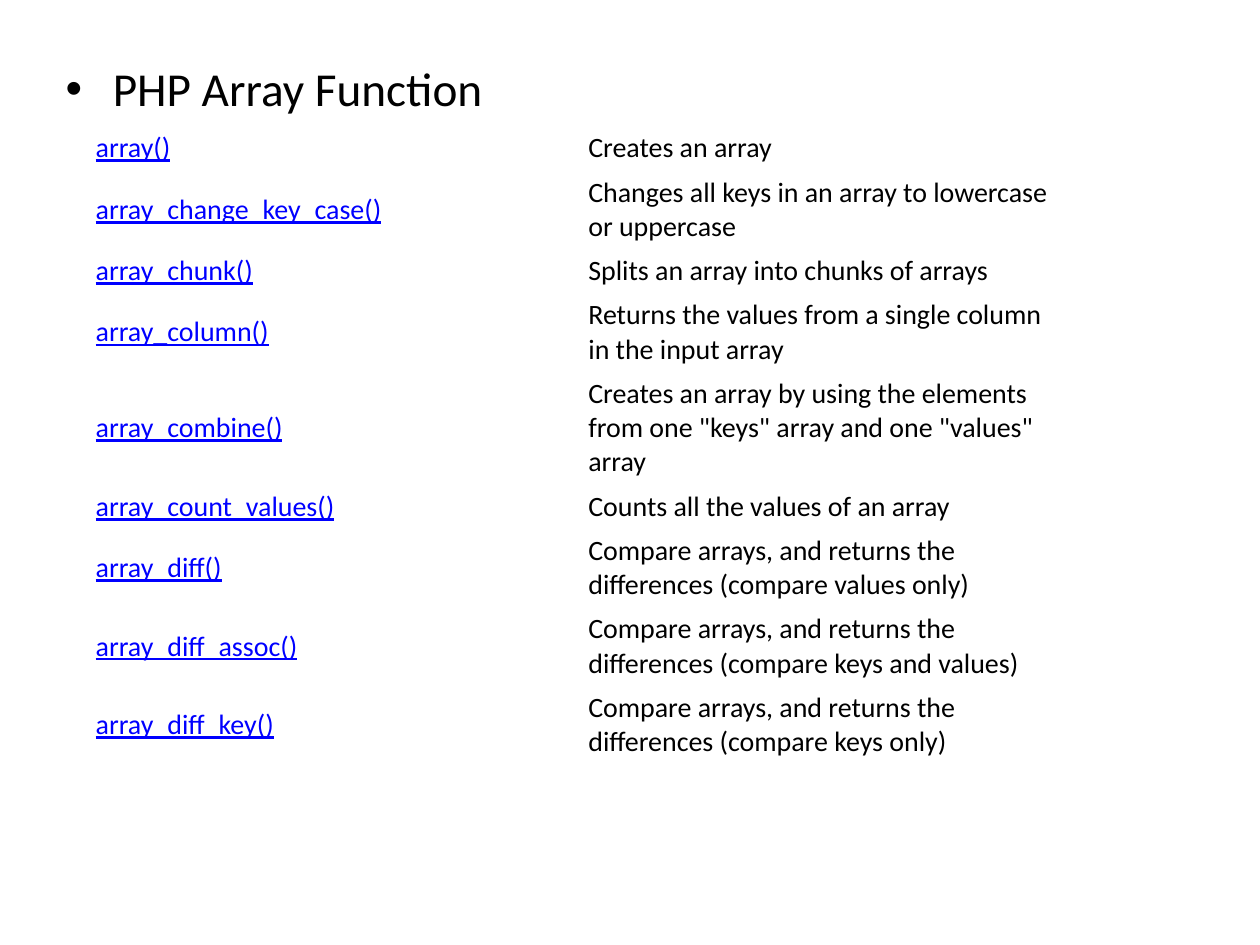
from pptx import Presentation
from pptx.dml.color import RGBColor
from pptx.enum.text import MSO_ANCHOR as Anchor, MSO_AUTO_SIZE as AutoSize
from pptx.util import Inches, Pt

HEADING = {"name": "Calibri", "size": Pt(27), "color": "000000"}
FUNCTION = {"name": "Calibri", "size": Pt(16), "color": "0000FF", "underline": True}
DESCRIPTION = {"name": "Calibri", "size": Pt(16), "color": "000000", "underline": False}
CELL = {
    "vertical_anchor": Anchor.MIDDLE,
    "margin_left": Inches(0.09),
    "margin_right": Inches(0.09),
    "margin_top": Inches(0.04),
    "margin_bottom": Inches(0.04),
}
ROW_PADDING, LINE_HEIGHT = 0.09, 0.26

ARRAY_FUNCTIONS = [
    ("array()", "Creates an array", 1),
    ("array_change_key_case()", "Changes all keys in an array to lowercase or uppercase", 2),
    ("array_chunk()", "Splits an array into chunks of arrays", 1),
    ("array_column()", "Returns the values from a single column in the input array", 2),
    ("array_combine()",
     'Creates an array by using the elements from one "keys" array and one "values" array', 3),
    ("array_count_values()", "Counts all the values of an array", 1),
    ("array_diff()", "Compare arrays, and returns the differences (compare values only)", 2),
    ("array_diff_assoc()",
     "Compare arrays, and returns the differences (compare keys and values)", 2),
    ("array_diff_key()", "Compare arrays, and returns the differences (compare keys only)", 2),
]


def apply(target, values):
    for key, value in values.items():
        setattr(target, key, value)


def set_color(color, hex_value):
    color.rgb = RGBColor.from_string(hex_value)


def write(paragraph, text, style):
    run = paragraph.add_run()
    run.text = text
    apply(run.font, {key: value for key, value in style.items() if key != "color"})
    set_color(run.font.color, style["color"])


def place_heading(slide, left, top, width, height):
    heading = slide.placeholders[1]
    apply(heading, {"left": Inches(left), "top": Inches(top),
                    "width": Inches(width), "height": Inches(height)})
    heading.text_frame.auto_size = AutoSize.NONE
    write(heading.text_frame.paragraphs[0], "PHP Array Function", HEADING)


def place_functions(slide, left, top, width):
    heights = [ROW_PADDING + LINE_HEIGHT * lines for _, _, lines in ARRAY_FUNCTIONS]
    functions = slide.shapes.add_table(
        len(ARRAY_FUNCTIONS), 2,
        Inches(left), Inches(top), Inches(width), Inches(sum(heights))).table
    apply(functions, {"first_row": False, "horz_banding": False})
    for row, height, (name, description, _) in zip(functions.rows, heights, ARRAY_FUNCTIONS):
        row.height = Inches(height)
        entries = ((name, FUNCTION), (description, DESCRIPTION))
        for cell, (text, style) in zip(row.cells, entries):
            apply(cell, CELL)
            cell.fill.background()
            write(cell.text_frame.paragraphs[0], text, style)


def main():
    deck = Presentation()
    apply(deck, {"slide_width": Inches(10), "slide_height": Inches(7.5)})
    slide = deck.slides.add_slide(deck.slide_layouts[1])
    title = slide.shapes.title.element
    title.getparent().remove(title)
    place_heading(slide, 0.42, 0.42, 9, 6.75)
    place_functions(slide, 0.67, 1, 7.82)
    deck.save("out.pptx")


if __name__ == "__main__":
    main()
